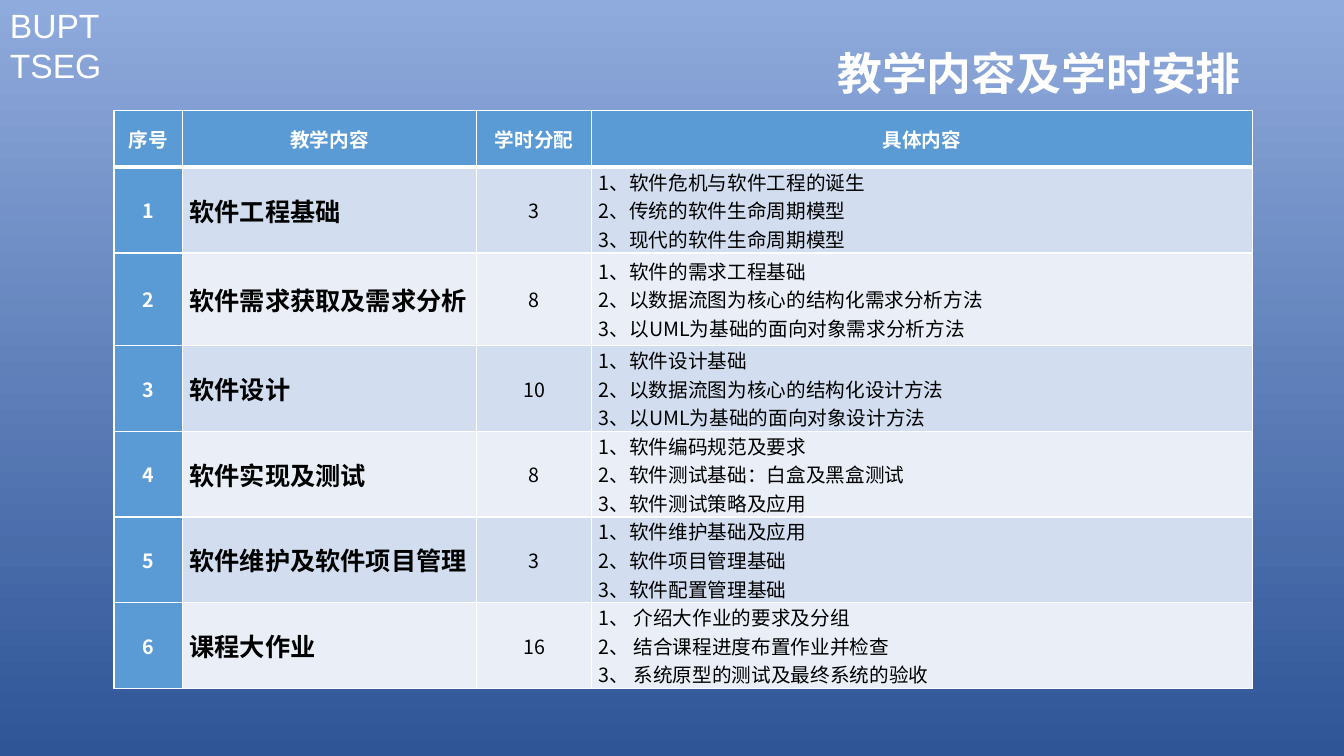
import pptx
import pptx.dml.color
import pptx.enum.text
import pptx.oxml.ns
import pptx.util
from lxml import etree
from pptx.util import Inches

TITLE = "教学内容及学时安排"
LAB_NAME = "BUPT TSEG"
HEADINGS = ["序号", "教学内容", "学时分配", "具体内容"]
COURSE_UNITS = [
    ("软件工程基础", 3,
     ["1、软件危机与软件工程的诞生", "2、传统的软件生命周期模型", "3、现代的软件生命周期模型"]),
    ("软件需求获取及需求分析", 8,
     ["1、软件的需求工程基础", "2、以数据流图为核心的结构化需求分析方法",
      "3、以UML为基础的面向对象需求分析方法"]),
    ("软件设计", 10,
     ["1、软件设计基础", "2、以数据流图为核心的结构化设计方法", "3、以UML为基础的面向对象设计方法"]),
    ("软件实现及测试", 8,
     ["1、软件编码规范及要求", "2、软件测试基础：白盒及黑盒测试", "3、软件测试策略及应用"]),
    ("软件维护及软件项目管理", 3,
     ["1、软件维护基础及应用", "2、软件项目管理基础", "3、软件配置管理基础"]),
    ("课程大作业", 16,
     ["1、 介绍大作业的要求及分组", "2、 结合课程进度布置作业并检查",
      "3、 系统原型的测试及最终系统的验收"]),
]

COLUMN_WIDTHS = [0.68, 2.92, 1.14, 6.55]
ROW_HEIGHTS = [0.56, 0.85, 0.92, 0.85, 0.85, 0.85, 0.85]

THEME = {
    "white": "FFFFFF", "black": "000000", "accent": "5B9BD5",
    "bands": ["D2DEEF", "EAEFF7"], "background": ["8FAADC", "2F5597"],
    "cjk": "Noto Sans CJK SC", "latin": "Arial",
    "title": 32, "lab": 24, "unit": 18, "body": 14,
    "thin": 1, "thick": 3,
}
ALIGN = pptx.enum.text.PP_ALIGN
MIDDLE = pptx.enum.text.MSO_ANCHOR.MIDDLE


def rgb(name):
    return pptx.dml.color.RGBColor.from_string(name)


def write(frame, lines, size, color, bold=False, align=ALIGN.LEFT, face=THEME["cjk"], spacing=None):
    """Put one paragraph per line into the frame, all in one format."""
    formats = {"size": pptx.util.Pt(size), "bold": bold, "name": face}
    for number, line in enumerate(lines):
        para = frame.paragraphs[0] if number == 0 else frame.add_paragraph()
        para.alignment = align
        if spacing:
            para.line_spacing = spacing
        span = para.add_run()
        span.text = line
        for name, value in formats.items():
            setattr(span.font, name, value)
        span.font.color.rgb = rgb(color)
        east_asian = etree.SubElement(span.font._element, pptx.oxml.ns.qn("a:ea"))
        east_asian.set("typeface", face)


def add_borders(cell, top, bottom):
    properties = cell._tc.get_or_add_tcPr()
    widths = {"lnL": THEME["thin"], "lnR": THEME["thin"], "lnT": top, "lnB": bottom}
    for side, width in widths.items():
        line = etree.SubElement(properties, pptx.oxml.ns.qn("a:" + side), w=str(pptx.util.Pt(width)))
        fill = etree.SubElement(line, pptx.oxml.ns.qn("a:solidFill"))
        etree.SubElement(fill, pptx.oxml.ns.qn("a:srgbClr"), val=THEME["white"])


def format_cell(cell, row, column):
    thin, thick = THEME["thin"], THEME["thick"]
    add_borders(cell, thick if row == 1 else thin, thick if row == 0 else thin)
    margins = {"margin_left": 0.07, "margin_right": 0.07, "margin_top": 0, "margin_bottom": 0}
    for name, value in margins.items():
        setattr(cell, name, Inches(value))
    cell.vertical_anchor = MIDDLE
    cell.fill.solid()
    is_heading = row == 0 or column == 0
    cell.fill.fore_color.rgb = rgb(THEME["accent"] if is_heading else THEME["bands"][(row - 1) % 2])


def add_schedule(slide):
    rows = [[[heading] for heading in HEADINGS]]
    for number, (unit, hours, topics) in enumerate(COURSE_UNITS, 1):
        rows.append([[str(number)], [unit], [str(hours)], topics])

    table = slide.shapes.add_table(
        len(rows), len(HEADINGS), Inches(1.13), Inches(1.1),
        Inches(sum(COLUMN_WIDTHS)), Inches(sum(ROW_HEIGHTS))).table
    for column, width in zip(table.columns, COLUMN_WIDTHS):
        column.width = Inches(width)
    for row, height in zip(table.rows, ROW_HEIGHTS):
        row.height = Inches(height)

    heading_style = {"size": THEME["body"], "color": THEME["white"], "bold": True, "align": ALIGN.CENTER}
    column_styles = [
        heading_style,
        {"size": THEME["unit"], "color": THEME["black"], "bold": True, "align": ALIGN.JUSTIFY},
        {"size": THEME["body"], "color": THEME["black"], "align": ALIGN.CENTER},
        {"size": THEME["body"], "color": THEME["black"], "align": ALIGN.JUSTIFY},
    ]
    for row, contents in enumerate(rows):
        for column, lines in enumerate(contents):
            cell = table.cell(row, column)
            format_cell(cell, row, column)
            write(cell.text_frame, lines, **(heading_style if row == 0 else column_styles[column]))


def main():
    deck = pptx.Presentation()
    deck.slide_width, deck.slide_height = Inches(13.33), Inches(7.5)
    slide = deck.slides.add_slide(deck.slide_layouts[5])

    background = slide.background.fill
    background.gradient()
    background.gradient_angle = 270
    for stop, color in zip(background.gradient_stops, THEME["background"]):
        stop.color.rgb = rgb(color)

    lab_box = slide.shapes.add_textbox(0, 0, Inches(1.11), Inches(0.91))
    lab_box.text_frame.word_wrap = True
    write(lab_box.text_frame, [LAB_NAME], THEME["lab"], THEME["white"], face=THEME["latin"])

    add_schedule(slide)

    title = slide.shapes.title
    place = {"left": 1.11, "top": 0.4, "width": 11.3, "height": 0.71}
    for name, value in place.items():
        setattr(title, name, Inches(value))
    title.text_frame.vertical_anchor = MIDDLE
    write(title.text_frame, [TITLE], THEME["title"], THEME["white"], True, ALIGN.RIGHT, spacing=0.9)

    deck.save("out.pptx")


if __name__ == "__main__":
    main()
